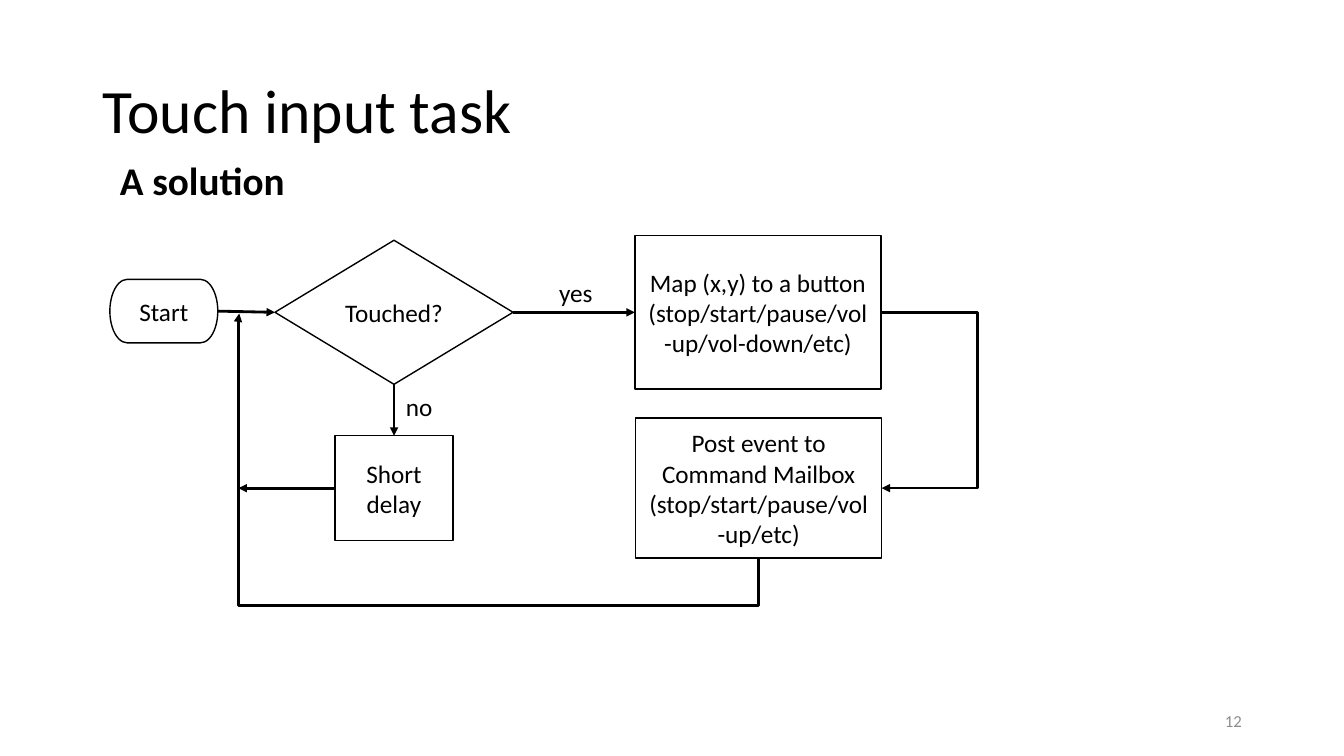
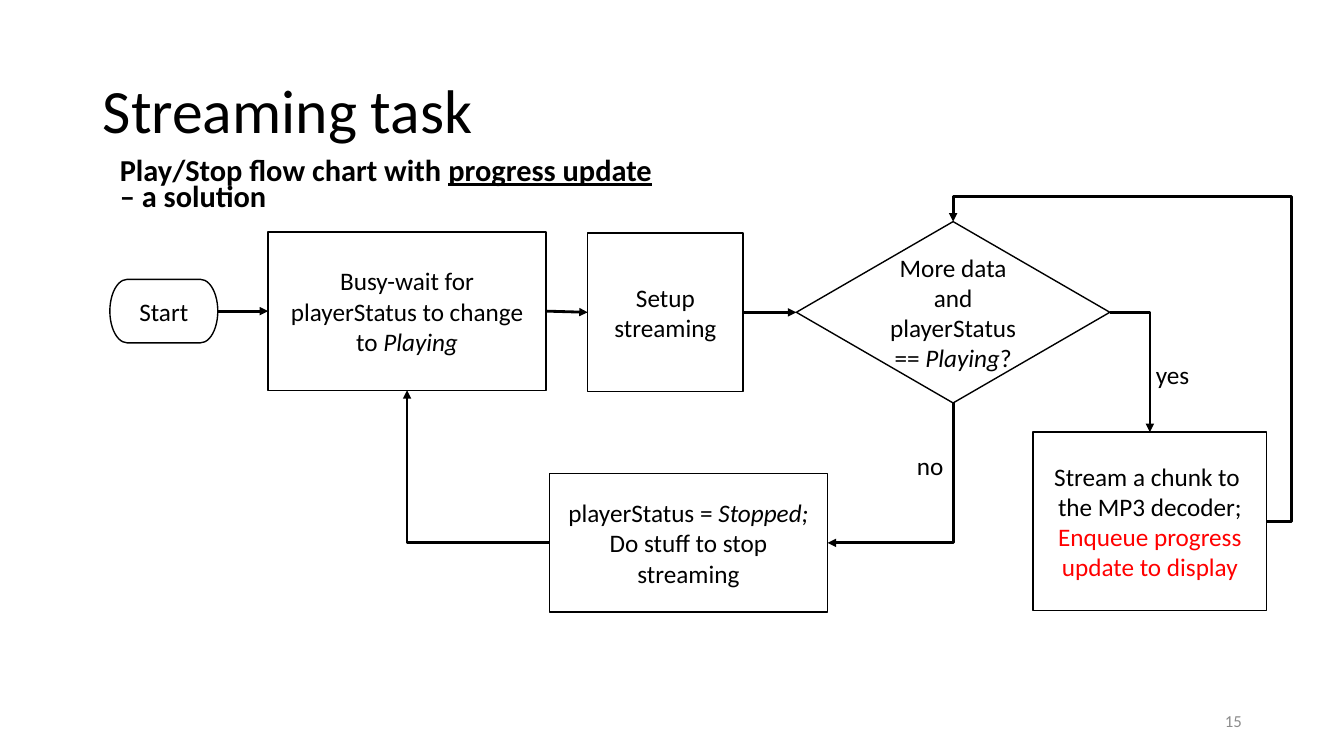
from dataclasses import dataclass

from lxml import etree
from pptx import Presentation
from pptx.dml.color import RGBColor
from pptx.enum.shapes import MSO_CONNECTOR, MSO_SHAPE
from pptx.enum.text import MSO_ANCHOR, PP_ALIGN
from pptx.oxml.ns import qn
from pptx.util import Cm, Pt

STRAIGHT = MSO_CONNECTOR.STRAIGHT
ELBOW = MSO_CONNECTOR.ELBOW
PROCESS = MSO_SHAPE.RECTANGLE
DECISION = MSO_SHAPE.FLOWCHART_DECISION
TERMINATOR = MSO_SHAPE.FLOWCHART_TERMINATOR
MIDDLE = MSO_ANCHOR.MIDDLE
CENTER = PP_ALIGN.CENTER
RIGHT_ALIGNED = PP_ALIGN.RIGHT
TOP, LEFT, BOTTOM, RIGHT = range(4)


@dataclass(frozen=True)
class Theme:
    font: str = "Calibri"
    ink: RGBColor = RGBColor(0x00, 0x00, 0x00)
    paper: RGBColor = RGBColor(0xFF, 0xFF, 0xFF)
    muted: RGBColor = RGBColor(0x8C, 0x8C, 0x8C)
    accent: RGBColor = RGBColor(0xFF, 0x00, 0x00)
    title: float = 44
    body: float = 18
    footer: float = 12
    outline: float = 1
    arrow: float = 2


THEME = Theme()
SLIDE_SIZE = (33.87, 19.05)
TITLE_BOX = (2.34, 1.02, 29.21, 3.68)
SUBTITLE_BOX = (2.77, 3.94, 14.4, 1.57)
NUMBER_BOX = (23.93, 17.65, 7.62, 1.02)
LABEL_SIZE = (1.5, 1.02)

MAIN_ROW = 7.87
START = (TERMINATOR, 4.13, 7.84, 2.72, 1.6, [["Start"]])
ITALIC = {"italic": True}

TOUCH_ROW = 12.3
TOUCH_LOOP = 6.01
TOUCH_FLOOR = 15.27
TOUCH_RIGHT = 24.64
POST_COLUMN = 19.12
POST_WIDTH = 6.2
POST_EDGE = POST_COLUMN + POST_WIDTH / 2
STOP_ROW = 13.68
CHUNK_COLUMN = 28.98
CHUNK_ROW = 13.14
RETURN_COLUMN = 32.56
RETURN_ROW = 4.95
WAIT_COLUMN = 10.26
MORE_COLUMN = 24.02

SLIDES = [
    {
        "title": "Touch input task",
        "subtitle": ["A solution"],
        "subtitle_size": 28,
        "subtitle_spacing": 0.9,
        "number": "12",
        "nodes": {
            "start": START,
            "touched": (DECISION, 9.93, MAIN_ROW, 6, 3.63, [["Touched?"]]),
            "map": (PROCESS, 19.1, MAIN_ROW, POST_WIDTH, 3.86,
                    [["Map (x,y) to a button (stop/start/pause/vol-up/vol-down/etc)"]]),
            "delay": (PROCESS, 9.93, TOUCH_ROW, 2.97, 2.64, [["Short"], ["delay"]]),
            "post": (PROCESS, POST_COLUMN, TOUCH_ROW, POST_WIDTH, 3.53,
                     [["Post event to Command Mailbox (stop/start/pause/vol-up/etc)"]]),
        },
        "routes": [
            [("start", RIGHT), ("touched", LEFT)],
            [("touched", RIGHT), ("map", LEFT)],
            [("touched", BOTTOM), ("delay", TOP)],
            [("delay", LEFT), (TOUCH_LOOP, TOUCH_ROW)],
            [("map", RIGHT), (TOUCH_RIGHT, MAIN_ROW), (TOUCH_RIGHT, TOUCH_ROW),
             (POST_EDGE, TOUCH_ROW), ("post", RIGHT)],
            [("post", BOTTOM), (POST_COLUMN, TOUCH_FLOOR), (TOUCH_LOOP, TOUCH_FLOOR),
             (TOUCH_LOOP, 7.9), (TOUCH_LOOP + 0.02, 7.9)],
        ],
        "labels": [("yes", 13.84, 6.86), ("no", 9.98, 9.73)],
    },
    {
        "title": "Streaming task",
        "subtitle": ["Play/Stop flow chart with ", ("progress update ", {"underline": True}),
                     "– a solution"],
        "subtitle_size": 21.7,
        "subtitle_spacing": 0.7,
        "number": "15",
        "nodes": {
            "start": START,
            "wait": (PROCESS, WAIT_COLUMN, 7.84, 7.01, 3.99,
                     [["Busy-wait for playerStatus to change to ", ("Playing", ITALIC)]]),
            "setup": (PROCESS, 16.77, MAIN_ROW, 3.92, 3.99, [["Setup streaming"]]),
            "more": (DECISION, MORE_COLUMN, MAIN_ROW, 7.9, 4.57,
                     [["More data and playerStatus == ", ("Playing", ITALIC), "?"]]),
            "chunk": (PROCESS, CHUNK_COLUMN, CHUNK_ROW, 5.89, 4.5,
                      [["Stream a chunk to "], ["the MP3 decoder;"],
                       [("Enqueue progress update to display", {"color": THEME.accent})]]),
            "stop": (PROCESS, 17.35, STOP_ROW, 7.01, 3.48,
                     [["playerStatus = ", ("Stopped;", ITALIC)],
                      ["Do stuff to stop streaming"]]),
        },
        "routes": [
            [("start", RIGHT), ("wait", LEFT)],
            [("wait", RIGHT), ("setup", LEFT)],
            [("setup", RIGHT), ("more", LEFT)],
            [("more", RIGHT), (CHUNK_COLUMN, MAIN_ROW), ("chunk", TOP)],
            [("more", BOTTOM), (MORE_COLUMN, STOP_ROW), ("stop", RIGHT)],
            [("stop", LEFT), (WAIT_COLUMN, STOP_ROW), ("wait", BOTTOM)],
            [("chunk", RIGHT), (RETURN_COLUMN, CHUNK_ROW), (RETURN_COLUMN, RETURN_ROW),
             (MORE_COLUMN, RETURN_ROW), ("more", TOP)],
        ],
        "labels": [("yes", 28.88, 8.94), ("no", 22.86, 11.23)],
    },
]


def apply_format(target, values):
    for name, value in values.items():
        setattr(target, name, value)


def write_text(frame, paragraphs, font=None, paragraph_format=None, frame_format=None):
    apply_format(frame, {"word_wrap": True, **(frame_format or {})})
    for index, runs in enumerate(paragraphs):
        paragraph = frame.add_paragraph() if index else frame.paragraphs[0]
        apply_format(paragraph, paragraph_format or {})
        for item in runs:
            text, changes = (item, {}) if isinstance(item, str) else item
            values = {"name": THEME.font, "size": Pt(THEME.body), "color": THEME.ink,
                      **(font or {}), **changes}
            run = paragraph.add_run()
            run.text = text
            run.font.color.rgb = values.pop("color")
            apply_format(run.font, values)


def add_text(slide, box, runs, **formats):
    shape = slide.shapes.add_textbox(*map(Cm, box))
    write_text(shape.text_frame, [runs], **formats)


def add_node(slide, kind, center_x, center_y, width, height, paragraphs):
    box = (center_x - width / 2, center_y - height / 2, width, height)
    shape = slide.shapes.add_shape(kind, *map(Cm, box))
    shape.shadow.inherit = False
    shape.fill.solid()
    shape.fill.fore_color.rgb = THEME.paper
    shape.line.color.rgb = THEME.ink
    shape.line.width = Pt(THEME.outline)
    write_text(shape.text_frame, paragraphs, paragraph_format={"alignment": CENTER},
               frame_format={"vertical_anchor": MIDDLE})
    return shape


def locate(point, nodes):
    if not isinstance(point[0], str):
        return point
    name, side = point
    _, x, y, width, height, _ = nodes[name]
    step_x, step_y = {TOP: (0, -1), LEFT: (-1, 0), BOTTOM: (0, 1), RIGHT: (1, 0)}[side]
    return x + step_x * width / 2, y + step_y * height / 2


def bend(connector, points):
    (x, y), (end_x, end_y) = points[0], points[-1]
    change = (end_x - x, end_y - y)
    upright = abs(points[1][1] - y) > abs(points[1][0] - x)
    along, across = (1, 0) if upright else (0, 1)
    width, height = abs(change[along]), abs(change[across])
    box = {"left": (x + end_x - width) / 2, "top": (y + end_y - height) / 2,
           "width": width, "height": height}
    apply_format(connector, {name: Cm(value) for name, value in box.items()})
    properties = connector._element.spPr
    transform = properties.find(qn("a:xfrm"))
    flips = {"flipH": change[along] < 0,
             "flipV": change[across] > 0 if upright else change[across] < 0}
    for name, flipped in flips.items():
        transform.set(name, str(int(flipped)))
    transform.set("rot", str(90 * 60000 if upright else 0))
    geometry = properties.find(qn("a:prstGeom"))
    geometry.set("prst", f"bentConnector{len(points) - 1}")
    adjustments = geometry.find(qn("a:avLst"))
    for index, corner in enumerate(points[1:-2]):
        axis = (along, across)[index % 2]
        share = (corner[axis] if index == 0 else points[index + 1][axis]) - points[0][axis]
        etree.SubElement(adjustments, qn("a:gd"), name=f"adj{index + 1}",
                         fmla=f"val {round(share / change[axis] * 100000)}")


def add_route(slide, route, nodes, shapes):
    points = [locate(point, nodes) for point in route]
    bent = len(points) > 2
    connector = slide.shapes.add_connector(ELBOW if bent else STRAIGHT,
                                           *map(Cm, (*points[0], *points[-1])))
    connector.line.color.rgb = THEME.ink
    connector.line.width = Pt(THEME.arrow)
    joins = ((route[0], connector.begin_connect), (route[-1], connector.end_connect))
    for point, connect in joins:
        if isinstance(point[0], str):
            connect(shapes[point[0]], point[1])
    if bent:
        bend(connector, points)
    properties = connector._element.spPr
    etree.SubElement(properties.find(qn("a:ln")), qn("a:tailEnd"), type="triangle")
    etree.SubElement(properties, qn("a:effectLst"))


def build_slide(presentation, content):
    slide = presentation.slides.add_slide(presentation.slide_layouts[6])
    add_text(slide, TITLE_BOX, [content["title"]], font={"size": Pt(THEME.title)},
             paragraph_format={"line_spacing": 0.9}, frame_format={"vertical_anchor": MIDDLE})
    add_text(slide, SUBTITLE_BOX, content["subtitle"],
             font={"size": Pt(content["subtitle_size"]), "bold": True},
             paragraph_format={"line_spacing": content["subtitle_spacing"],
                               "space_before": Pt(10)})
    add_text(slide, NUMBER_BOX, [content["number"]],
             font={"size": Pt(THEME.footer), "color": THEME.muted},
             paragraph_format={"alignment": RIGHT_ALIGNED},
             frame_format={"vertical_anchor": MIDDLE})
    nodes = content["nodes"]
    shapes = {name: add_node(slide, *node) for name, node in nodes.items()}
    for route in content["routes"]:
        add_route(slide, route, nodes, shapes)
    for text, left, top in content["labels"]:
        add_text(slide, (left, top, *LABEL_SIZE), [text], frame_format={"word_wrap": False})


def main():
    presentation = Presentation()
    presentation.slide_width, presentation.slide_height = map(Cm, SLIDE_SIZE)
    for content in SLIDES:
        build_slide(presentation, content)
    presentation.save("out.pptx")


if __name__ == "__main__":
    main()
